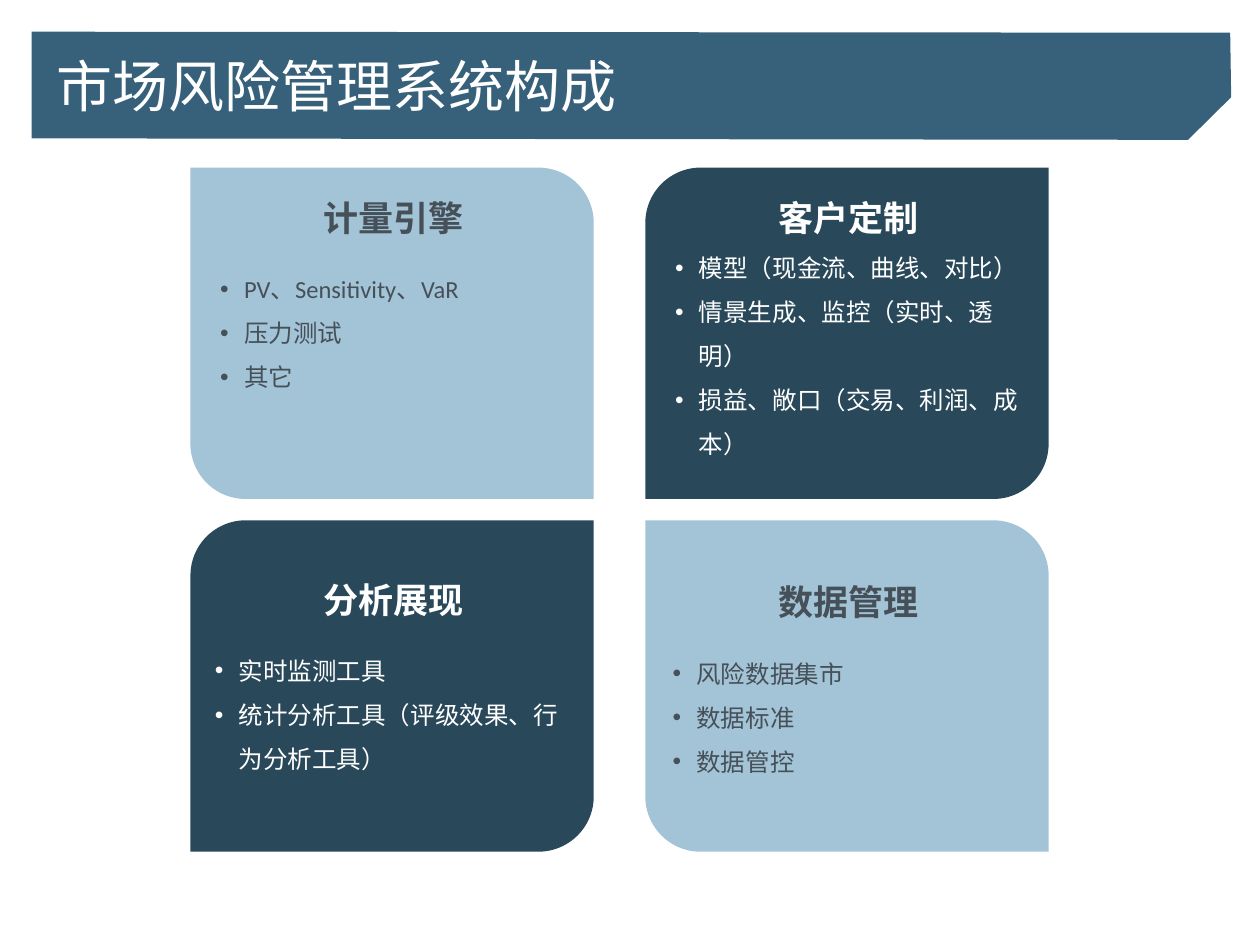
from lxml.etree import SubElement
from pptx import Presentation
from pptx.dml.color import RGBColor
from pptx.enum.shapes import MSO_SHAPE
from pptx.enum.text import MSO_ANCHOR, PP_ALIGN
from pptx.oxml.ns import qn
from pptx.util import Cm, Pt

WHITE = RGBColor(0xFF, 0xFF, 0xFF)
GREY = RGBColor(0x46, 0x50, 0x58)
BLUE = RGBColor(0x37, 0x61, 0x7A)
DARK = RGBColor(0x29, 0x49, 0x5B)
LIGHT = RGBColor(0xA3, 0xC3, 0xD6)
LATIN, HAN = "Calibri", "Noto Sans CJK SC"

LEFT, TOP = 3.84, 3.38
WIDE, HIGH = 8.13, 6.68
STEP_X, STEP_Y = 9.17, 7.11
ROUND = 0.1667

# column, row, text top, text height, space before list, heading, items
PANELS = [
    (0, 0, 3.68, 5.74, 12, "计量引擎",
     ["PV、Sensitivity、VaR", "压力测试", "其它"]),
    (1, 0, 3.68, 5.74, 0, "客户定制",
     ["模型（现金流、曲线、对比）", "情景生成、监控（实时、透明）",
      "损益、敞口（交易、利润、成本）"]),
    (0, 1, 11.48, 3.58, 12, "分析展现",
     ["实时监测工具", "统计分析工具（评级效果、行为分析工具）"]),
    (1, 1, 11.48, 4.72, 12, "数据管理",
     ["风险数据集市", "数据标准", "数据管控"]),
]


def paint(shape, fill=None):
    shape.shadow.inherit = False
    shape.line.fill.background()
    if fill is None:
        shape.fill.background()
    else:
        shape.fill.solid()
        shape.fill.fore_color.rgb = fill


def set_frame(frame, anchor, pads=(0, 0, 0, 0)):
    frame.word_wrap = True
    frame.vertical_anchor = anchor
    (frame.margin_left, frame.margin_top,
     frame.margin_right, frame.margin_bottom) = map(Cm, pads)


def write(para, text, size, color, font=LATIN, bold=False,
          align=PP_ALIGN.LEFT, hang=0, bullet=None, line=1.0, before=0):
    para.alignment = align
    para.line_spacing = line
    para.space_before = Pt(before)
    props = para._p.get_or_add_pPr()
    if hang:
        props.set("marL", str(Cm(hang)))
        props.set("indent", str(-Cm(hang)))
    if bullet:
        SubElement(props, qn("a:buFont")).set("typeface", "Arial")
        SubElement(props, qn("a:buChar")).set("char", bullet)
    run = para.add_run()
    run.text = text
    run.font.size = Pt(size)
    run.font.bold = bold
    run.font.color.rgb = color
    run.font.name = font
    SubElement(run._r.get_or_add_rPr(), qn("a:ea")).set("typeface", HAN)


def add_title(slide, text):
    points = [(24.8, 0.66), (24.82, 1.96), (23.95, 2.82), (0.64, 2.79)]
    pen = slide.shapes.build_freeform(Cm(0.64), Cm(0.64))
    pen.add_line_segments([(Cm(x), Cm(y)) for x, y in points], close=True)
    paint(pen.convert_to_shape(), BLUE)
    box = slide.shapes.add_textbox(Cm(0.64), Cm(0.64), Cm(24.16), Cm(2.16))
    set_frame(box.text_frame, MSO_ANCHOR.MIDDLE, (0.5, 0.13, 0.25, 0.13))
    write(box.text_frame.paragraphs[0], text, 32, WHITE, font=HAN)


def add_panel(slide, col, row, fill, main):
    """Round one diagonal pair of corners; main means top left to bottom right."""
    panel = slide.shapes.add_shape(
        MSO_SHAPE.ROUND_2_DIAG_RECTANGLE, Cm(LEFT + col * STEP_X),
        Cm(TOP + row * STEP_Y), Cm(WIDE), Cm(HIGH))
    panel.adjustments[0] = ROUND if main else 0
    panel.adjustments[1] = 0 if main else ROUND
    paint(panel, fill)


def add_list(slide, col, top, high, gap, head, items, color):
    box = slide.shapes.add_shape(
        MSO_SHAPE.ROUNDED_RECTANGLE, Cm(LEFT + col * STEP_X + 0.32),
        Cm(top), Cm(7.54), Cm(high))
    paint(box)
    frame = box.text_frame
    set_frame(frame, MSO_ANCHOR.TOP)
    write(frame.paragraphs[0], head, 20, color, bold=True,
          align=PP_ALIGN.CENTER, hang=0.74)
    for num, item in enumerate(items):
        write(frame.add_paragraph(), item, 14, color, hang=0.48, bullet="•",
              line=1.5, before=0 if num else gap)


def main():
    deck = Presentation()
    deck.slide_width, deck.slide_height = Cm(25.4), Cm(19.05)
    slide = deck.slides.add_slide(deck.slide_layouts[6])
    add_title(slide, "市场风险管理系统构成")
    for col, row, top, high, gap, head, items in PANELS:
        dark = col != row
        add_panel(slide, col, row, DARK if dark else LIGHT, dark)
        add_list(slide, col, top, high, gap, head, items,
                 WHITE if dark else GREY)
    deck.save("out.pptx")


if __name__ == "__main__":
    main()
